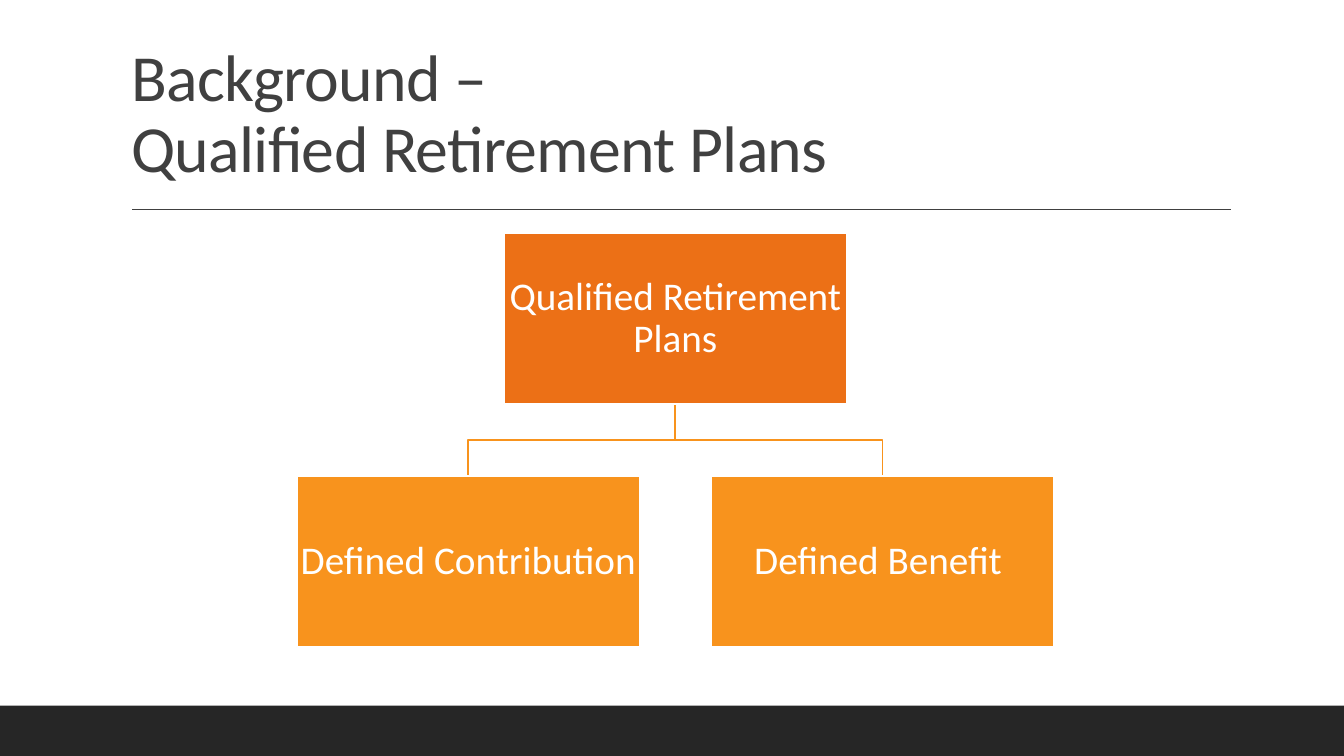
from lxml import etree
from pptx import Presentation
from pptx.dml.color import RGBColor
from pptx.enum.shapes import MSO_CONNECTOR, MSO_SHAPE
from pptx.enum.text import MSO_ANCHOR, MSO_AUTO_SIZE, PP_ALIGN
from pptx.oxml.ns import qn
from pptx.util import Cm, Pt

RECTANGLE = MSO_SHAPE.RECTANGLE
STRAIGHT = MSO_CONNECTOR.STRAIGHT
MIDDLE, BOTTOM = MSO_ANCHOR.MIDDLE, MSO_ANCHOR.BOTTOM
LEFT, CENTER = PP_ALIGN.LEFT, PP_ALIGN.CENTER
NO_AUTOFIT = MSO_AUTO_SIZE.NONE

COLORS = {
    "footer": "262626",
    "title": "404040",
    "root": "EC7016",
    "branch": "F8931D",
    "white": "FFFFFF",
}
FONT = "Calibri"
SLIDE_W, SLIDE_H = 33.87, 19.05

# Chart geometry in centimetres
BOX_W, BOX_H = 8.64, 4.32
CHART_CENTER = 17.02
BRANCH_OFFSET = 5.22
ROOT_TOP, BRANCH_TOP = 5.87, 11.99


def color(name):
    return RGBColor.from_string(COLORS[name])


def style_paragraph(paragraph, size, color_name, alignment):
    paragraph.alignment = alignment
    paragraph.line_spacing = 0.9
    paragraph.font.name = FONT
    paragraph.font.size = Pt(size)
    paragraph.font.color.rgb = color(color_name)


def add_title(slide, text):
    title = slide.shapes.title
    title.left, title.top = Cm(3.05), Cm(0.79)
    title.width, title.height = Cm(27.94), Cm(4.04)
    frame = title.text_frame
    frame.text = text
    frame.word_wrap = True
    frame.auto_size = NO_AUTOFIT
    frame.vertical_anchor = BOTTOM
    heading = frame.paragraphs[0]
    style_paragraph(heading, 47, "title", LEFT)
    # Slightly tightened letter spacing
    for run in heading.runs:
        run.font._element.set("spc", "-50")


def add_rule(slide, left, right, y):
    rule = slide.shapes.add_connector(STRAIGHT, Cm(left), Cm(y), Cm(right), Cm(y))
    rule.line.color.rgb = color("title")
    rule.line.width = Pt(1)
    etree.SubElement(rule._element.spPr, qn("a:effectLst"))


def add_rectangle(slide, left, top, width, height, fill):
    rectangle = slide.shapes.add_shape(
        RECTANGLE, Cm(left), Cm(top), Cm(width), Cm(height))
    rectangle.shadow.inherit = False
    rectangle.fill.solid()
    rectangle.fill.fore_color.rgb = color(fill)
    rectangle.line.fill.background()
    return rectangle


def add_plan_box(slide, center, top, text, fill):
    box = add_rectangle(slide, center - BOX_W / 2, top, BOX_W, BOX_H, fill)
    box.line.color.rgb = color("white")
    box.line.width = Pt(1.25)
    frame = box.text_frame
    frame.margin_left = frame.margin_right = Cm(0.05)
    frame.margin_top = frame.margin_bottom = Cm(0.05)
    frame.word_wrap = True
    frame.vertical_anchor = MIDDLE
    frame.text = text
    style_paragraph(frame.paragraphs[0], 28, "white", CENTER)


def add_branch_line(slide, branch_center):
    root_bottom = ROOT_TOP + BOX_H
    bend = (root_bottom + BRANCH_TOP) / 2
    outline = slide.shapes.build_freeform(Cm(CHART_CENTER), Cm(root_bottom))
    corners = [(CHART_CENTER, bend), (branch_center, bend),
               (branch_center, BRANCH_TOP)]
    outline.add_line_segments([(Cm(x), Cm(y)) for x, y in corners], close=False)
    branch_line = outline.convert_to_shape()
    branch_line.shadow.inherit = False
    branch_line.fill.background()
    branch_line.line.color.rgb = color("branch")
    branch_line.line.width = Pt(1.25)


def main():
    prs = Presentation()
    prs.slide_width, prs.slide_height = Cm(SLIDE_W), Cm(SLIDE_H)
    slide = prs.slides.add_slide(prs.slide_layouts[5])

    # Footer band, title and rule
    add_rectangle(slide, 0, 17.78, SLIDE_W, 1.27, "footer")
    add_rule(slide, 3.33, 31.01, 5.28)
    add_title(slide, "Background – \vQualified Retirement Plans")

    # Plan hierarchy: lines behind, boxes in front
    branches = {
        "Defined Contribution": CHART_CENTER - BRANCH_OFFSET,
        "Defined Benefit ": CHART_CENTER + BRANCH_OFFSET,
    }
    for center in branches.values():
        add_branch_line(slide, center)
    add_plan_box(slide, CHART_CENTER, ROOT_TOP, "Qualified Retirement Plans", "root")
    for plan, center in branches.items():
        add_plan_box(slide, center, BRANCH_TOP, plan, "branch")

    prs.save("out.pptx")


if __name__ == "__main__":
    main()
